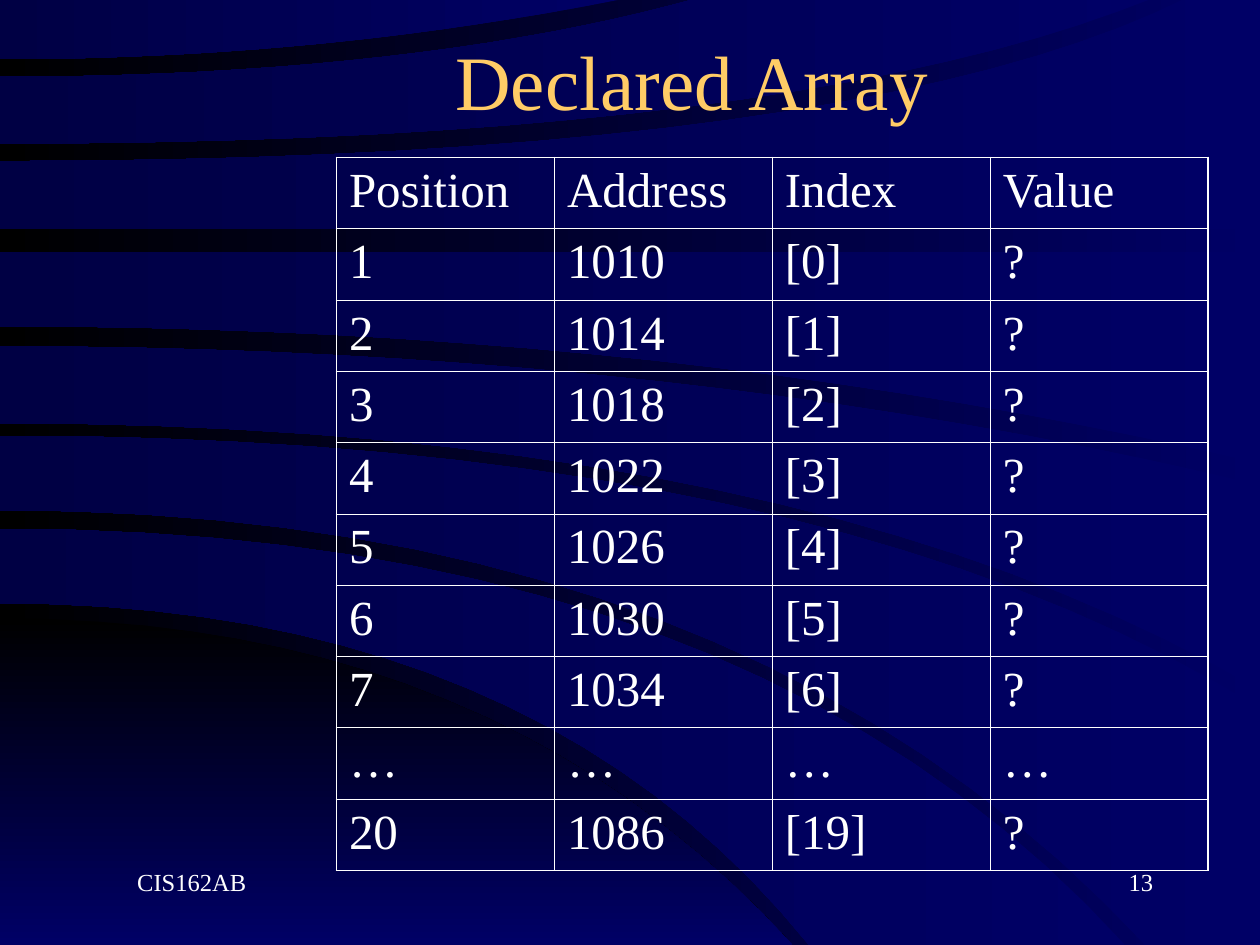
from lxml import etree
from pptx import Presentation
from pptx import util as u
from pptx.dml.color import RGBColor
from pptx.enum import text
from pptx.oxml.ns import qn

FONT = "Times New Roman"
COLORS = {"navy": "000066", "dusk": "000044", "black": "000000",
          "gold": "FFCC66", "white": "FFFFFF"}
THOUSANDTH = u.Inches(0.001)
STEPS = 20

HILL = [(4.91, 3.94, 6.29, 7.5), (7.5, 3, 6.29, 7.5)]
BANDS = [
    [(4.2, 5.93, 8.93, 7.5), (4.79, 4.23, 6.42, 7.5)],
    [(3.46, 6.5, 10, 5.62), (4.05, 5.9, 9.09, 7.5), (10, 7.5)],
    [(2.75, 5.4, 10, 3.85), (3.36, 6.4, 10, 5.48)],
    [(2, 5, 10, 2), (2.59, 5.4, 10, 3.68)],
    [(1.28, 6.83, 9.43, -0.02), (1.82, 5, 10, 1.82), (10, -0.02)],
    [(0.61, 3.3, 5.56, -0.02), (1.14, 6.3, 9.17, -0.02)],
    [(-0.02, 2.5, 5.01, -0.02), (0.47, 2.56, 5.01, -0.02)],
]

ROWS = ([["Position", "Address", "Index", "Value"]]
        + [[str(n), str(1006 + 4 * n), f"[{n - 1}]", "?"] for n in range(1, 8)]
        + [["…"] * 4, ["20", "1086", "[19]", "?"]])


def rgb(name):
    """Return a palette colour."""
    return RGBColor.from_string(COLORS[name])


def fill_gradient(fill, start, end, angle):
    """Give a fill a two-stop linear gradient."""
    fill.gradient()
    fill.gradient_angle = angle
    for stop, name in zip(fill.gradient_stops, (start, end)):
        stop.color.rgb = rgb(name)


def add_run(p, words, size, color):
    """Add one formatted run to a paragraph."""
    r = p.add_run()
    r.text = words
    r.font.size, r.font.name = u.Pt(size), FONT
    r.font.color.rgb = rgb(color)


def set_indent(p, inches):
    """Set the left margin of a paragraph."""
    pPr = p._p.get_or_add_pPr()
    pPr.set("marL", str(u.Inches(inches)))
    pPr.set("indent", "0")


def trace_edge(start_y, bend_x, end_x, end_y):
    """Return points of a quadratic curve leaving the left side level."""
    shares = [i / STEPS for i in range(STEPS + 1)]
    return [(2 * t * (1 - t) * bend_x + t * t * end_x,
             start_y + t * t * (end_y - start_y)) for t in shares]


def add_band(slide, upper, lower, *corners, colors=("navy", "dusk"), angle=180):
    """Draw the gradient area between two curved edges."""
    outline = trace_edge(*upper) + list(corners) + trace_edge(*lower)[::-1]
    points = [(round(x * 1000), round(y * 1000)) for x, y in outline]
    builder = slide.shapes.build_freeform(*points[0], scale=THOUSANDTH)
    builder.add_line_segments(points[1:], close=True)
    sp = builder.convert_to_shape()
    sp.shadow.inherit = False
    sp.line.fill.background()
    fill_gradient(sp.fill, *colors, angle)


def add_backdrop(slide):
    """Fill the background and lay the sweeping bands over it."""
    fill_gradient(slide.background.fill, "navy", "black", 180)
    add_band(slide, *HILL, colors=("black", "navy"), angle=270)
    for band in BANDS:
        add_band(slide, *band)


def add_title(slide, words, x, y, w, h):
    """Place the title placeholder above the backdrop."""
    sp = slide.shapes.title
    slide.shapes._spTree.append(sp._element)
    sp.left, sp.top, sp.width, sp.height = map(u.Inches, (x, y, w, h))
    tf = sp.text_frame
    tf.auto_size = text.MSO_AUTO_SIZE.NONE
    tf.vertical_anchor = text.MSO_ANCHOR.MIDDLE
    p = tf.paragraphs[0]
    p.alignment = text.PP_ALIGN.CENTER
    set_indent(p, 0.98)
    add_run(p, words, 44, "gold")


def add_border(cell, side, width):
    """Draw one white border of a table cell."""
    ln = etree.SubElement(cell._tc.get_or_add_tcPr(), qn(f"a:ln{side}"), w=str(u.Pt(width)))
    solid = etree.SubElement(ln, qn("a:solidFill"))
    etree.SubElement(solid, qn("a:srgbClr"), val=COLORS["white"])


def add_grid(slide, rows, x, y, w, h):
    """Build the table with a thick frame and thin inner lines."""
    n_rows, n_cols = len(rows), len(rows[0])
    table = slide.shapes.add_table(n_rows, n_cols, *map(u.Inches, (x, y, w, h))).table
    table.first_row = table.horz_banding = False
    for i, row in enumerate(rows):
        for j, words in enumerate(row):
            cell = table.cell(i, j)
            edges = {"L": j == 0, "R": j == n_cols - 1, "T": i == 0, "B": i == n_rows - 1}
            for side, outer in edges.items():
                add_border(cell, side, 1.08 if outer else 0.45)
            cell.fill.background()
            p = cell.text_frame.paragraphs[0]
            p.space_before = u.Pt(7)
            add_run(p, words, 28, "white")


def add_footer(slide, words, align, x, y, w, h):
    """Place one footer text."""
    tf = slide.shapes.add_textbox(*map(u.Inches, (x, y, w, h))).text_frame
    tf.word_wrap = True
    p = tf.paragraphs[0]
    p.alignment = align
    set_indent(p, 0.24)
    add_run(p, words, 14, "white")


def main():
    """Build and save the slide."""
    prs = Presentation()
    prs.slide_width, prs.slide_height = u.Inches(10), u.Inches(7.5)
    slide = prs.slides.add_slide(prs.slide_layouts[5])
    add_backdrop(slide)
    add_title(slide, "Declared Array", 0.75, 0.17, 8.5, 0.92)
    add_grid(slide, ROWS, 2.67, 1.25, 6.92, 5.66)
    add_footer(slide, "13", text.PP_ALIGN.RIGHT, 7.17, 6.83, 2.08, 0.5)
    add_footer(slide, "CIS162AB", text.PP_ALIGN.LEFT, 0.75, 6.83, 2.08, 0.5)
    prs.save("out.pptx")


if __name__ == "__main__":
    main()
